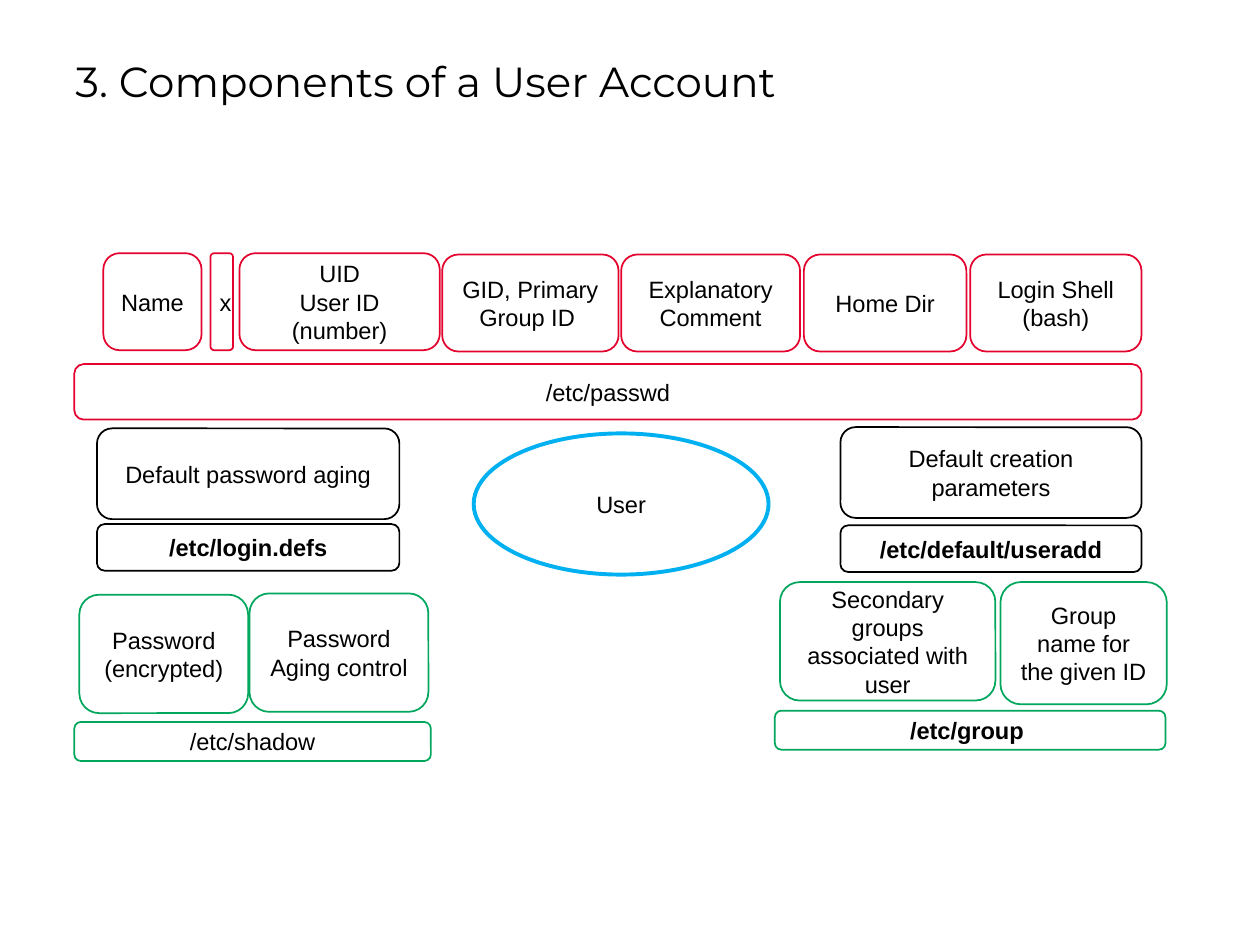
from typing import Any, NamedTuple

from pptx import Presentation
from pptx.dml import color
from pptx.enum import shapes, text
from pptx.util import Inches, Pt

COLUMNS, ROWS = 100, 75
SLIDE_WIDTH, SLIDE_HEIGHT = Inches(10), Inches(7.5)
ROUNDED = shapes.MSO_SHAPE.ROUNDED_RECTANGLE
OVAL = shapes.MSO_SHAPE.OVAL
RED, GREEN, BLUE, BLACK, WHITE = "E4032E", "00A75D", "00B0F0", "000000", "FFFFFF"


class Area(NamedTuple):
    column: float
    row: float
    columns: float
    rows: float


class Cell(NamedTuple):
    label: str
    area: Area
    bold: bool = False


class Panel(NamedTuple):
    colour: str
    cells: list[Cell]
    grouped: bool = False


def field_row(row: float, rows: float, fields: list[tuple[str, float, float]]) -> list[Cell]:
    return [Cell(label, Area(column, row, columns, rows)) for label, column, columns in fields]


PANELS = [
    Panel(RED, [
        *field_row(20.1, 7.7, [
            ("Name", 8.2, 7.8),
            ("x", 16.7, 1.8),
            ("UID\nUser ID (number)", 19, 15.9),
        ]),
        *field_row(20.2, 7.7, [
            ("GID, Primary Group ID ", 35.1, 14),
            ("Explanatory Comment", 49.3, 14.2),
            ("Home Dir", 63.8, 12.9),
            ("Login Shell\n(bash)", 77, 13.6),
        ]),
        Cell("/etc/passwd", Area(5.9, 28.9, 84.7, 4.4)),
    ]),
    Panel(GREEN, [
        Cell("Secondary groups associated with user", Area(61.9, 46.2, 17.1, 9.4)),
        Cell("Group name for the given ID", Area(79.4, 46.2, 13.2, 9.7)),
        Cell("/etc/group ", Area(61.5, 56.4, 31, 3.1), True),
    ], True),
    Panel(GREEN, [
        Cell("Password\n(encrypted)", Area(6.3, 47.2, 13.4, 9.4)),
        Cell("Password\nAging control", Area(19.8, 47.1, 14.2, 9.4)),
        Cell("/etc/shadow", Area(5.9, 57.3, 28.3, 3.1)),
    ], True),
    Panel(BLACK, [
        Cell("Default creation parameters", Area(66.7, 33.9, 23.9, 7.2)),
        Cell("/etc/default/useradd", Area(66.7, 41.7, 23.9, 3.7), True),
        Cell("Default password aging", Area(7.7, 34, 24, 7.2)),
        Cell("/etc/login.defs", Area(7.7, 41.6, 24, 3.7), True),
    ]),
]


def rgb(value: str) -> color.RGBColor:
    return color.RGBColor.from_string(value)


def place(area: Area) -> tuple[int, int, int, int]:
    return (
        round(area.column * SLIDE_WIDTH / COLUMNS),
        round(area.row * SLIDE_HEIGHT / ROWS),
        round(area.columns * SLIDE_WIDTH / COLUMNS),
        round(area.rows * SLIDE_HEIGHT / ROWS),
    )


def apply(target: Any, values: dict[str, Any]) -> None:
    for name, value in values.items():
        setattr(target, name, value)


def write(frame: Any, label: str, alignment: Any, font: dict[str, Any]) -> None:
    frame.word_wrap = True
    frame.text = label
    for paragraph in frame.paragraphs:
        paragraph.alignment = alignment
        for run in paragraph.runs:
            apply(run.font, font)
            run.font.color.rgb = rgb(BLACK)


def draw_cell(container: Any, cell: Cell, colour: str, outline: Any = ROUNDED,
              weight: float = 1, filled: bool = True) -> None:
    shape = container.add_shape(outline, *place(cell.area))
    shape.shadow.inherit = False
    if filled:
        shape.fill.solid()
        shape.fill.fore_color.rgb = rgb(WHITE)
    else:
        shape.fill.background()
    shape.line.color.rgb = rgb(colour)
    shape.line.width = Pt(weight)
    shape.text_frame.vertical_anchor = text.MSO_ANCHOR.MIDDLE
    write(shape.text_frame, cell.label, text.PP_ALIGN.CENTER,
          {"name": "Arial", "size": Pt(13.5), "bold": cell.bold})


def draw_panel(slide: Any, panel: Panel) -> None:
    container = slide.shapes.add_group_shape().shapes if panel.grouped else slide.shapes
    for cell in panel.cells:
        draw_cell(container, cell, panel.colour)


def main() -> None:
    presentation = Presentation()
    apply(presentation, {"slide_width": SLIDE_WIDTH, "slide_height": SLIDE_HEIGHT})
    slide = presentation.slides.add_slide(presentation.slide_layouts[6])
    title = slide.shapes.add_textbox(*place(Area(5, 3.9, 90.2, 5)))
    write(title.text_frame, "3. Components of a User Account", text.PP_ALIGN.LEFT,
          {"name": "Montserrat", "size": Pt(24)})
    draw_cell(slide.shapes, Cell("User", Area(37.6, 34.4, 23.4, 11.2)), BLUE, OVAL, 2.25, False)
    for panel in PANELS:
        draw_panel(slide, panel)
    presentation.save("out.pptx")


if __name__ == "__main__":
    main()
